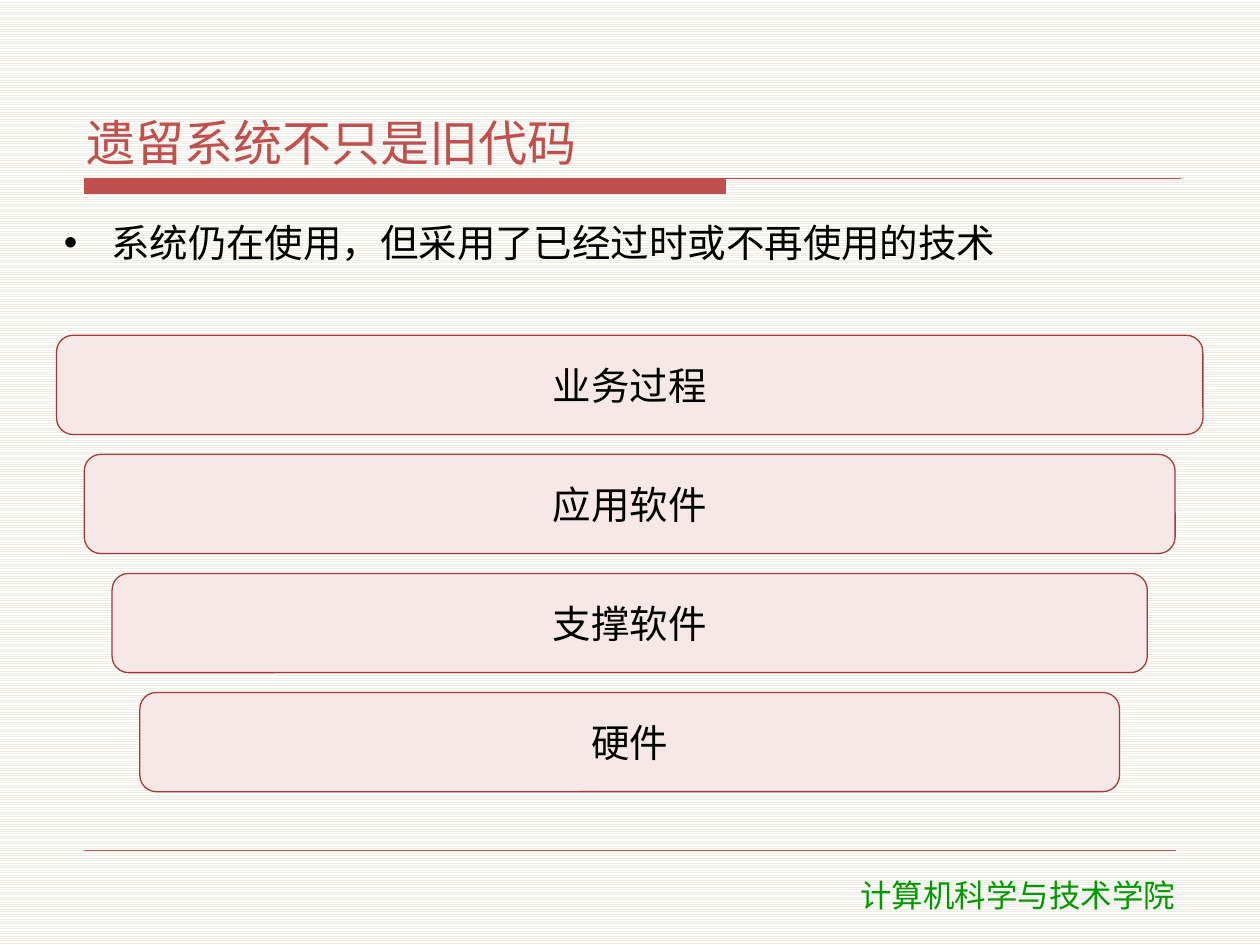
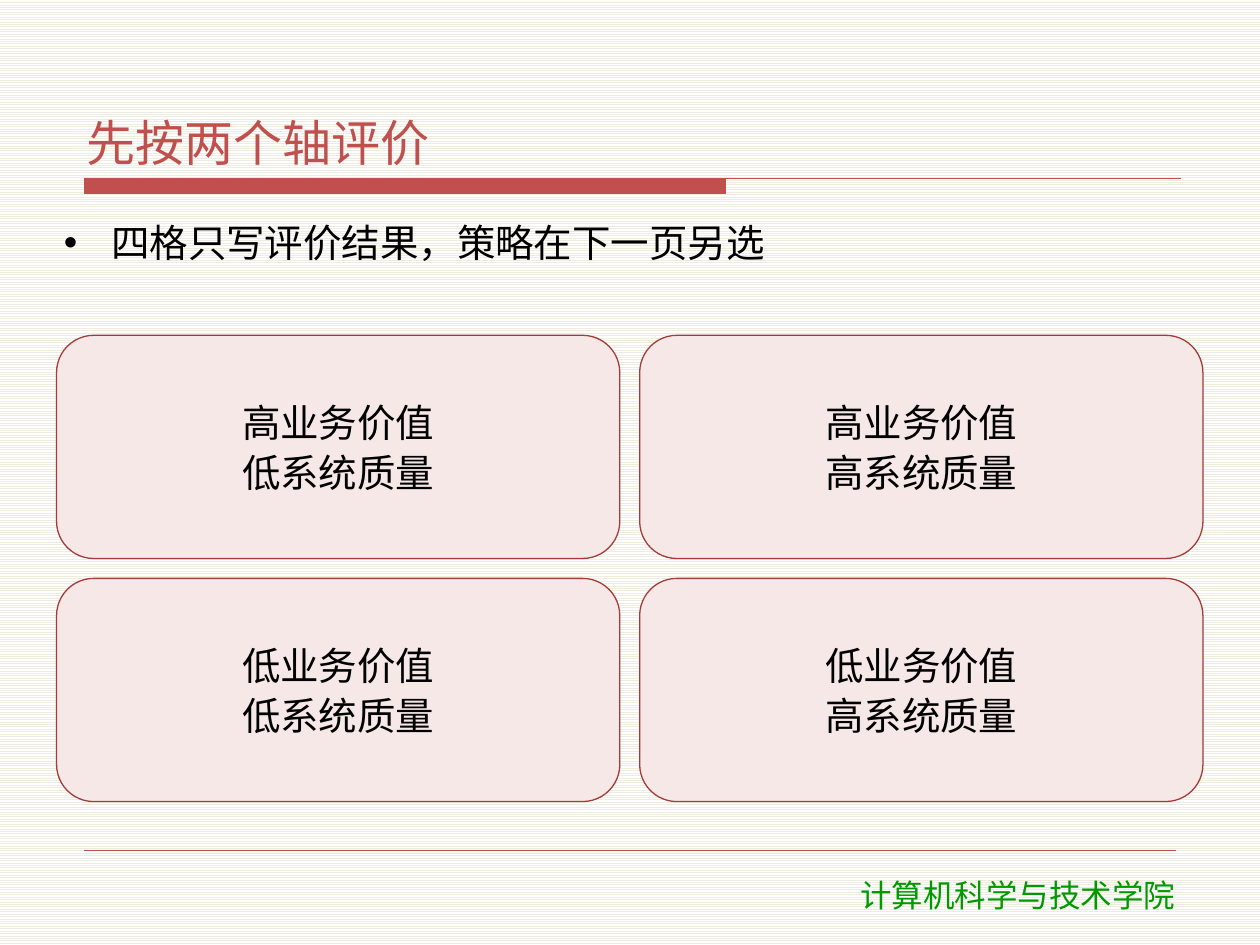
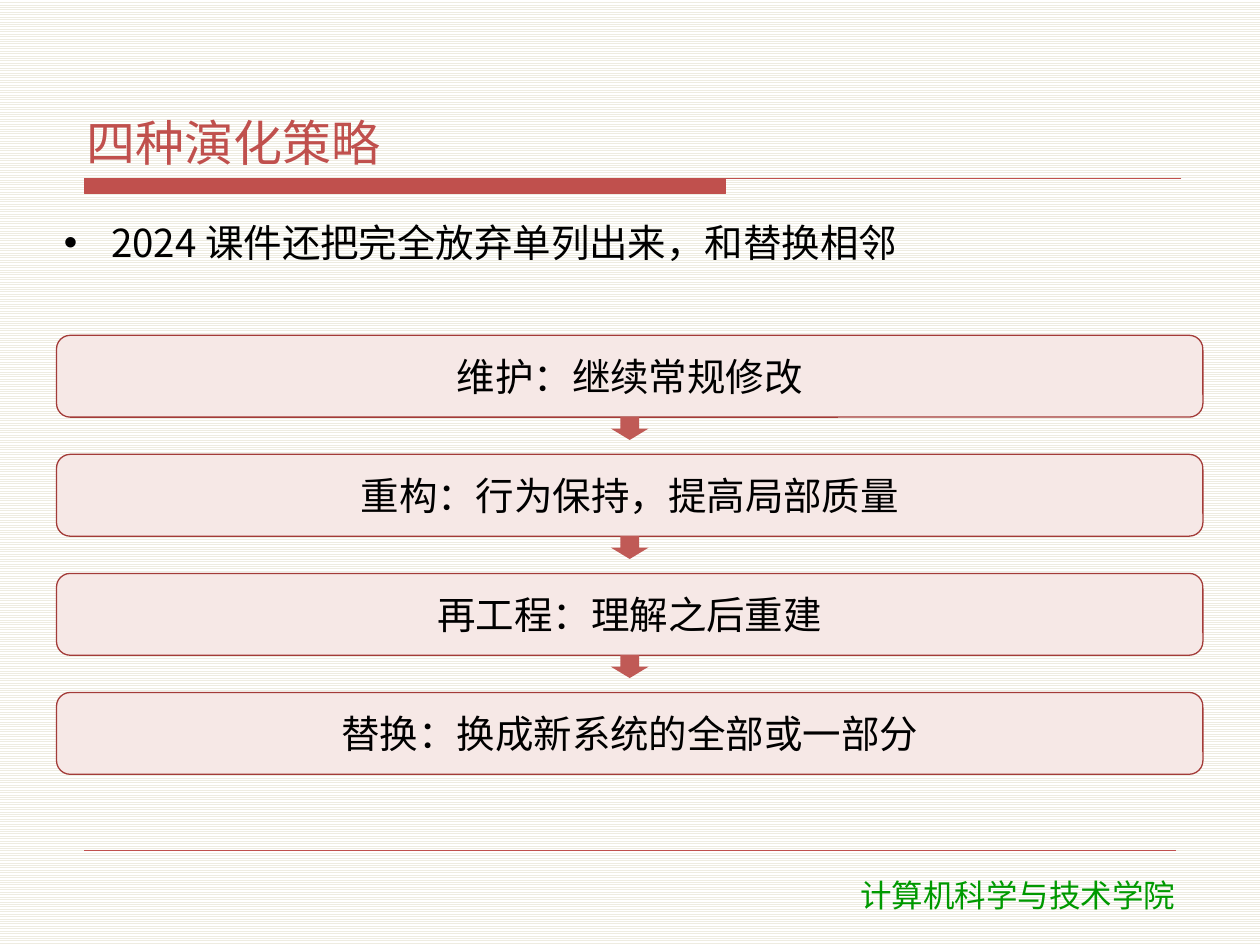
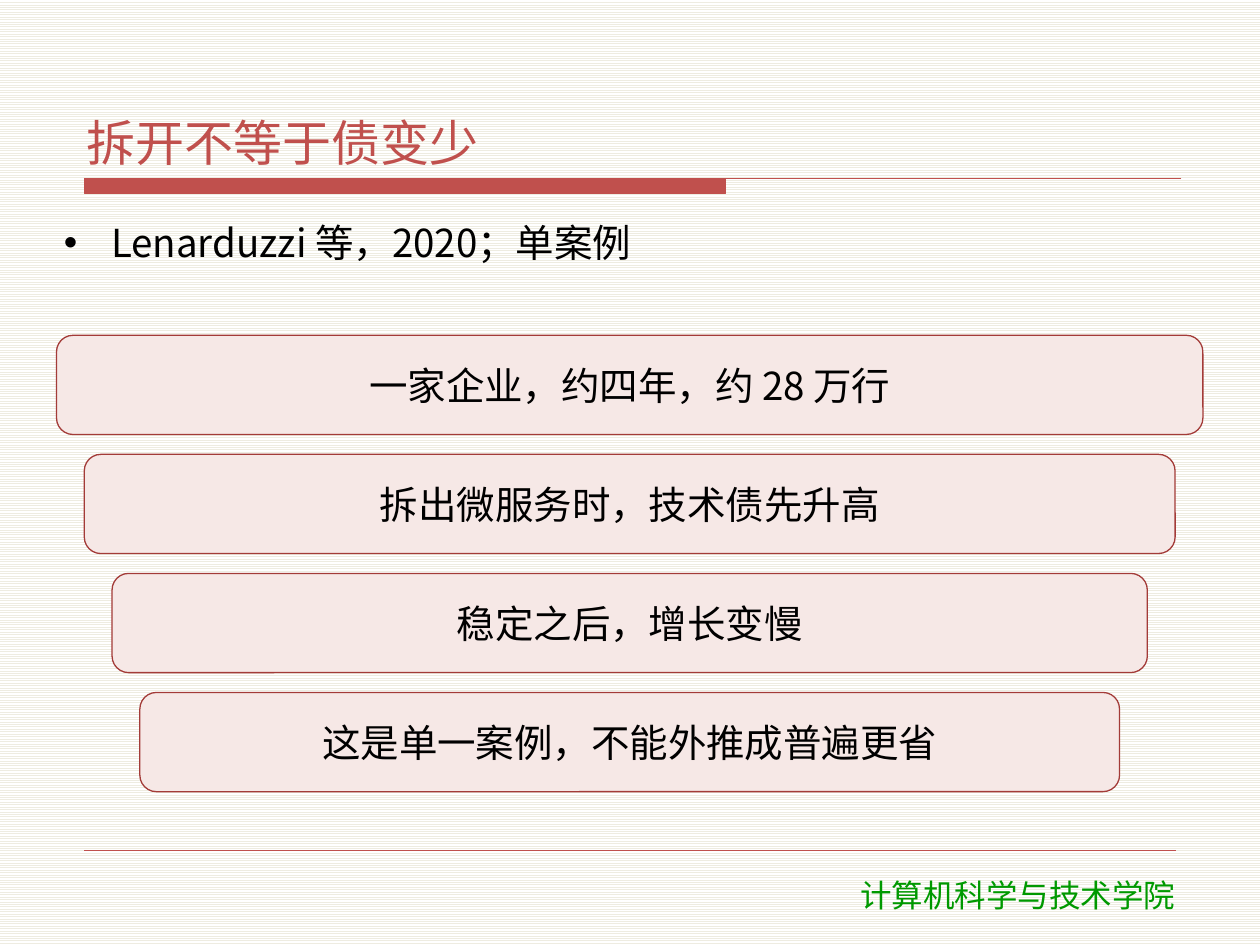
from lxml.etree import SubElement
from pptx import Presentation
from pptx.dml.color import RGBColor
from pptx.enum.dml import MSO_PATTERN
from pptx.enum.shapes import MSO_CONNECTOR, MSO_SHAPE
from pptx.enum.text import MSO_ANCHOR, MSO_AUTO_SIZE, PP_ALIGN
from pptx.oxml.ns import qn
from pptx.util import Cm, Pt

RED = RGBColor(0xC0, 0x50, 0x4D)
ARROW_RED = RGBColor(0xC0, 0x5A, 0x56)
BORDER_RED = RGBColor(0xA3, 0x3B, 0x38)
PALE_RED = RGBColor(0xF6, 0xE8, 0xE6)
GREEN = RGBColor(0x00, 0x99, 0x00)
BLACK = RGBColor(0x00, 0x00, 0x00)
WHITE = RGBColor(0xFF, 0xFF, 0xFF)
CREAM = RGBColor(0xEE, 0xEC, 0xE1)

CJK_FONT = "Noto Sans CJK SC"
FOOTER_FONT = "DejaVu Sans"
SCHOOL = "计算机科学与技术学院"

LEFT, TOP, FULL_WIDTH = 1.14, 6.76, 23.11
ROW_PITCH = 2.4
STEP_INDENT = 0.56
GRID_GAP = 0.4
ARROW_WIDTH, ARROW_HEIGHT = 0.76, 0.46

FRAME = {
    "word_wrap": True, "auto_size": MSO_AUTO_SIZE.NONE,
    "margin_left": Cm(0.15), "margin_right": Cm(0.15),
    "margin_top": Cm(0.05), "margin_bottom": Cm(0.05),
}
TITLE_FRAME = FRAME | {"vertical_anchor": MSO_ANCHOR.BOTTOM}
LEAD_FRAME = FRAME | {"vertical_anchor": MSO_ANCHOR.TOP}
CARD_FRAME = FRAME | {"vertical_anchor": MSO_ANCHOR.MIDDLE}
FOOTER_FRAME = {"word_wrap": True, "auto_size": MSO_AUTO_SIZE.SHAPE_TO_FIT_TEXT}

LEFT_PARAGRAPH = {"alignment": PP_ALIGN.LEFT, "space_before": Pt(0), "space_after": Pt(2)}
CENTER_PARAGRAPH = LEFT_PARAGRAPH | {"alignment": PP_ALIGN.CENTER}

TITLE_FONT = {"name": CJK_FONT, "size": Pt(28)}
BODY_FONT = {"name": CJK_FONT, "size": Pt(22)}
SCHOOL_FONT = {"name": FOOTER_FONT, "size": Pt(18)}


def apply_format(target, values):
    """Set each named attribute of the target."""
    for attribute, value in values.items():
        setattr(target, attribute, value)


def place(element, left, top, width, height):
    """Position an element, with lengths in centimetres."""
    apply_format(element, {"left": Cm(left), "top": Cm(top),
                           "width": Cm(width), "height": Cm(height)})


def write(element, text, frame_format, paragraph_format, font_format, color):
    """Fill an element with formatted paragraphs, one for each line of text."""
    frame = element.text_frame
    frame.text = text
    apply_format(frame, frame_format)
    for paragraph in frame.paragraphs:
        apply_format(paragraph, paragraph_format)
        for run in paragraph.runs:
            apply_format(run.font, font_format)
            run.font.color.rgb = color
            east_asian = SubElement(run._r.get_or_add_rPr(), qn("a:ea"))
            east_asian.set("typeface", font_format["name"])


def add_square_bullet(paragraph):
    """Give a paragraph a red square bullet with a hanging indent."""
    properties = paragraph._p.get_or_add_pPr()
    properties.set("marL", str(Cm(1.3)))
    properties.set("indent", str(Cm(-1.3)))
    bullet_color = SubElement(properties, qn("a:buClr"))
    SubElement(bullet_color, qn("a:srgbClr")).set("val", str(RED))
    SubElement(properties, qn("a:buSzPct")).set("val", "65000")
    SubElement(properties, qn("a:buFont")).set("typeface", CJK_FONT)
    SubElement(properties, qn("a:buChar")).set("char", "■")


def add_title_band(slide):
    """Draw the thick band that continues as a thin rule under the title."""
    builder = slide.shapes.build_freeform(Cm(1.7), Cm(3.6))
    outline = [(23.8, 3.6), (14.63, 3.6), (14.63, 3.9), (1.7, 3.9)]
    builder.add_line_segments([(Cm(x), Cm(y)) for x, y in outline], close=True)
    band = builder.convert_to_shape()
    band.shadow.inherit = False
    band.fill.solid()
    band.fill.fore_color.rgb = RED
    band.line.color.rgb = RED
    band.line.width = Pt(0.75)
    return band


def add_footer_rule(slide):
    """Draw the hairline above the footer."""
    rule = slide.shapes.add_connector(
        MSO_CONNECTOR.STRAIGHT, Cm(1.7), Cm(17.14), Cm(23.7), Cm(17.14))
    rule.line.color.rgb = RED
    rule.line.width = Pt(0.25)
    SubElement(rule.element.spPr, qn("a:effectLst"))
    return rule


def add_school_name(slide):
    """Write the school name in the footer."""
    school = slide.shapes.add_textbox(Cm(15.42), Cm(17.53), Cm(10.2), Cm(1.02))
    write(school, SCHOOL, FOOTER_FRAME, CENTER_PARAGRAPH, SCHOOL_FONT, GREEN)
    return school


def decorate_layout(slide):
    """Set the striped background and move the shared parts to the layout."""
    layout = slide.slide_layout
    stripes = layout.slide_master.background.fill
    stripes.patterned()
    stripes.pattern = MSO_PATTERN.LIGHT_HORIZONTAL
    stripes.fore_color.rgb = CREAM
    stripes.back_color.rgb = WHITE
    shared_parts = [add_title_band(slide), add_footer_rule(slide), add_school_name(slide)]
    for number, part in enumerate(shared_parts, start=101):
        part.element.xpath(".//p:cNvPr")[0].set("id", str(number))
        layout.shapes.element.append(part.element)


def add_topic_slide(presentation, title, lead):
    """Add a slide with its title and bulleted lead sentence."""
    slide = presentation.slides.add_slide(presentation.slide_layouts[1])
    heading, body = slide.placeholders
    place(heading, 1.6, 0.84, 22.22, 2.67)
    write(heading, title, TITLE_FRAME, LEFT_PARAGRAPH, TITLE_FONT, RED)
    place(body, LEFT, 4.37, FULL_WIDTH, 2.18)
    body.text_frame.text = lead
    add_square_bullet(body.text_frame.paragraphs[0])
    write(body, lead, LEAD_FRAME, LEFT_PARAGRAPH, BODY_FONT, BLACK)
    return slide


def add_card(slide, text, left, top, width, height):
    """Add a pale rounded card with centred text."""
    card = slide.shapes.add_shape(
        MSO_SHAPE.ROUNDED_RECTANGLE, Cm(left), Cm(top), Cm(width), Cm(height))
    card.shadow.inherit = False
    card.fill.solid()
    card.fill.fore_color.rgb = PALE_RED
    card.line.color.rgb = BORDER_RED
    card.line.width = Pt(0.75)
    write(card, text, CARD_FRAME, CENTER_PARAGRAPH, BODY_FONT, BLACK)


def add_down_arrow(slide, top):
    """Add a centred arrow that leads to the next card."""
    arrow = slide.shapes.add_shape(
        MSO_SHAPE.DOWN_ARROW, Cm(LEFT + (FULL_WIDTH - ARROW_WIDTH) / 2), Cm(top),
        Cm(ARROW_WIDTH), Cm(ARROW_HEIGHT))
    arrow.shadow.inherit = False
    arrow.fill.solid()
    arrow.fill.fore_color.rgb = ARROW_RED
    arrow.line.fill.background()


def add_layers(slide, layers):
    """Stack cards that narrow evenly from top to bottom."""
    for level, layer in enumerate(layers):
        indent = level * STEP_INDENT
        add_card(slide, layer, LEFT + indent, TOP + level * ROW_PITCH,
                 FULL_WIDTH - 2 * indent, 2)


def add_quadrants(slide, quadrants):
    """Lay out cards in a grid of two columns."""
    width, height = (FULL_WIDTH - GRID_GAP) / 2, 4.5
    for index, quadrant in enumerate(quadrants):
        row, column = divmod(index, 2)
        add_card(slide, quadrant, LEFT + column * (width + GRID_GAP),
                 TOP + row * (height + GRID_GAP), width, height)


def add_strategies(slide, strategies):
    """Stack full-width cards joined by arrows."""
    height = 1.65
    for index, strategy in enumerate(strategies):
        top = TOP + index * ROW_PITCH
        if index:
            add_down_arrow(slide, top - ROW_PITCH + height)
        add_card(slide, strategy, LEFT, top, FULL_WIDTH, height)


def main():
    """Build the four slides and save them."""
    presentation = Presentation()
    presentation.slide_width, presentation.slide_height = Cm(25.4), Cm(19.05)

    legacy = add_topic_slide(presentation, "遗留系统不只是旧代码",
                             "系统仍在使用，但采用了已经过时或不再使用的技术")
    decorate_layout(legacy)
    add_layers(legacy, ["业务过程", "应用软件", "支撑软件", "硬件"])

    assessment = add_topic_slide(presentation, "先按两个轴评价",
                                 "四格只写评价结果，策略在下一页另选")
    add_quadrants(assessment, [f"{value}业务价值\n{quality}系统质量"
                               for value in "高低" for quality in "低高"])

    evolution = add_topic_slide(presentation, "四种演化策略",
                                "2024 课件还把完全放弃单列出来，和替换相邻")
    add_strategies(evolution, ["维护：继续常规修改", "重构：行为保持，提高局部质量",
                               "再工程：理解之后重建", "替换：换成新系统的全部或一部分"])

    debt = add_topic_slide(presentation, "拆开不等于债变少",
                           "Lenarduzzi 等，2020；单案例")
    add_layers(debt, ["一家企业，约四年，约 28 万行", "拆出微服务时，技术债先升高",
                      "稳定之后，增长变慢", "这是单一案例，不能外推成普遍更省"])

    presentation.save("out.pptx")


if __name__ == "__main__":
    main()
